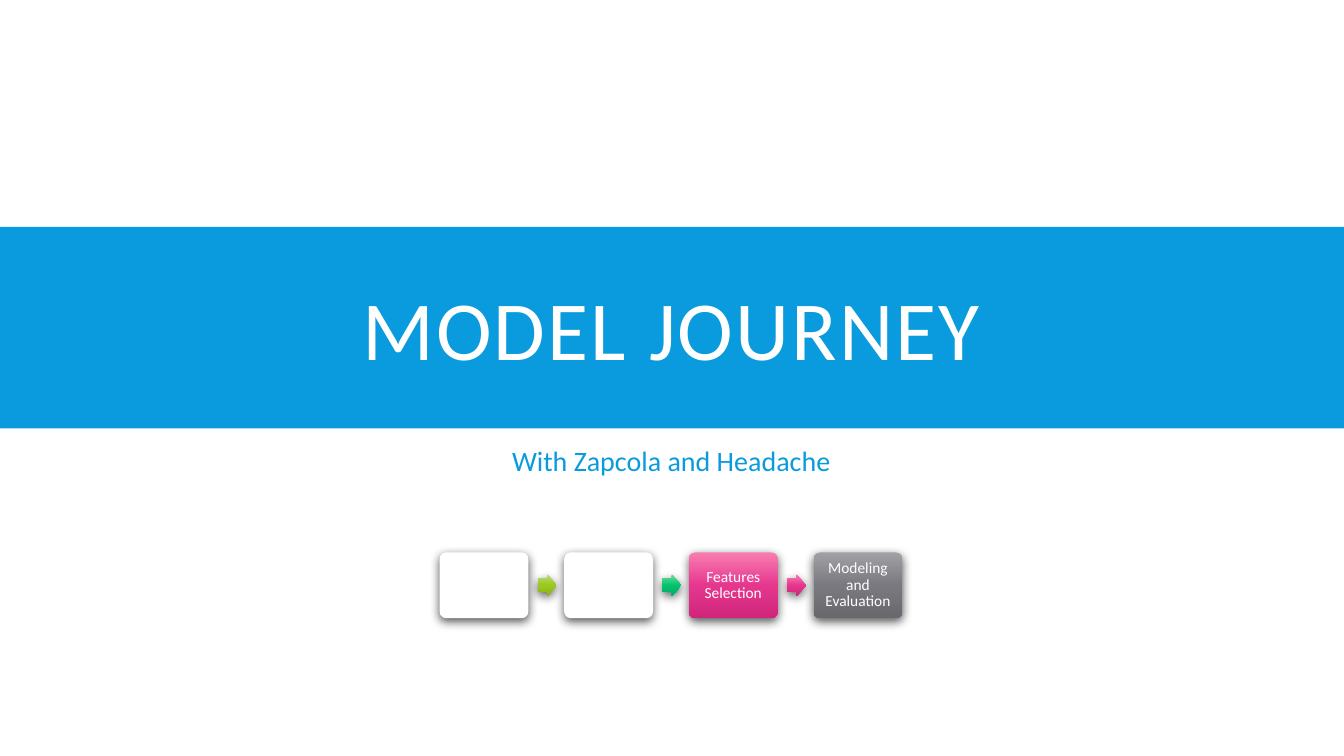
from pptx import Presentation
from pptx.dml.color import RGBColor
from pptx.enum import shapes, text
from pptx.oxml import parse_xml
from pptx.oxml.ns import nsdecls
from pptx.util import Pt

# Content
TITLE = "MODEL JOURNEY"
SUBTITLE = "With Zapcola and Headache"
# Step label, box colour, colour of the arrow that follows
STEPS = [
    ("", "white", "lime"),
    ("", "white", "green"),
    ("Features Selection", "pink", "pink"),
    ("Modeling and Evaluation", "grey", None),
]
COLORS = {"white": "FFFFFF", "blue": "099BDD"}
GRADIENTS = {
    "lime": ("BADD75", "9CC621", "8BB413"),
    "green": ("72DA9A", "03C370", "00AA61"),
    "pink": ("F87EB1", "E6378F", "D0257B"),
    "grey": ("A1A1A5", "79797F", "68686D"),
}
FONT = "Calibri"

# Layout in points
PAGE_WIDTH, PAGE_HEIGHT = 960, 540
BAND_TOP, BAND_HEIGHT = 162, 144
TEXT_LEFT, TEXT_WIDTH = 65.5, 828
STEP_LEFT, STEP_TOP, STEP_PITCH = 314, 394.6, 89.04
STEP_WIDTH, STEP_HEIGHT = 63.4, 47
ARROW_OFFSET, ARROW_WIDTH, ARROW_HEIGHT = 70.1, 13.5, 15.8


def color(name):
    return RGBColor.from_string(COLORS[name])


def add_block(page, kind, left, top, width, height, fill):
    block = page.shapes.add_shape(kind, Pt(left), Pt(top), Pt(width), Pt(height))
    block.shadow.inherit = False
    block.line.fill.background()
    if fill in COLORS:
        block.fill.solid()
        block.fill.fore_color.rgb = color(fill)
    else:
        stops = "".join(
            f'<a:gs pos="{index * 50000}"><a:srgbClr val="{value}"/></a:gs>'
            for index, value in enumerate(GRADIENTS[fill]))
        gradient = parse_xml(
            f'<a:gradFill {nsdecls("a")} rotWithShape="1"><a:gsLst>{stops}</a:gsLst>'
            '<a:lin ang="5400000" scaled="0"/></a:gradFill>')
        block.element.spPr.prstGeom.addnext(gradient)
    return block


def add_shadow(block):
    effects = block.element.spPr.find("{*}effectLst")
    effects.append(parse_xml(
        f'<a:outerShdw {nsdecls("a")} blurRad="{Pt(7)}" dist="{Pt(2.2)}" '
        'dir="5400000" algn="ctr" rotWithShape="0"><a:srgbClr val="000000">'
        '<a:alpha val="63000"/></a:srgbClr></a:outerShdw>'))


def write(box, words, size, ink, spacing, anchor):
    frame = box.text_frame
    frame.word_wrap = True
    frame.auto_size = text.MSO_AUTO_SIZE.NONE
    frame.vertical_anchor = anchor
    frame.text = words
    para = frame.paragraphs[0]
    para.alignment = text.PP_ALIGN.CENTER
    para.line_spacing = spacing
    para.font.name = FONT
    para.font.size = Pt(size)
    para.font.bold = False
    para.font.color.rgb = color(ink)
    return para


def place(box, left, top, width, height):
    box.left, box.top, box.width, box.height = map(Pt, (left, top, width, height))


def main():
    deck = Presentation()
    deck.slide_width, deck.slide_height = Pt(PAGE_WIDTH), Pt(PAGE_HEIGHT)
    page = deck.slides.add_slide(deck.slide_layouts.get_by_name("Section Header"))

    # Blue band behind the title
    band = add_block(page, shapes.MSO_SHAPE.RECTANGLE,
                     0, BAND_TOP, PAGE_WIDTH, BAND_HEIGHT, "blue")
    page.shapes.title.element.addprevious(band.element)

    # Title and subtitle
    title, subtitle = page.placeholders
    place(title, TEXT_LEFT, 174.2, TEXT_WIDTH, 131.8)
    para = write(title, TITLE, 60, "white", 0.8, text.MSO_ANCHOR.MIDDLE)
    para.runs[0].font._element.set("spc", "150")
    place(subtitle, TEXT_LEFT, 316, TEXT_WIDTH, 92)
    para = write(subtitle, SUBTITLE, 20, "blue", 0.9, text.MSO_ANCHOR.TOP)
    para.space_before, para.space_after = Pt(12), Pt(2)

    # Process steps, each followed by an arrow
    for index, (label, fill, arrow_fill) in enumerate(STEPS):
        left = STEP_LEFT + index * STEP_PITCH
        step = add_block(page, shapes.MSO_SHAPE.ROUNDED_RECTANGLE,
                         left, STEP_TOP, STEP_WIDTH, STEP_HEIGHT, fill)
        step.adjustments[0] = 0.1
        add_shadow(step)
        if label:
            frame = step.text_frame
            frame.margin_left = frame.margin_right = Pt(3.6)
            frame.margin_top = frame.margin_bottom = Pt(3.6)
            write(step, label, 11, "white", 0.9, text.MSO_ANCHOR.MIDDLE)
        if arrow_fill:
            arrow = add_block(page, shapes.MSO_SHAPE.RIGHT_ARROW, left + ARROW_OFFSET,
                              STEP_TOP + (STEP_HEIGHT - ARROW_HEIGHT) / 2,
                              ARROW_WIDTH, ARROW_HEIGHT, arrow_fill)
            arrow.adjustments[0], arrow.adjustments[1] = 0.6, 0.5
            add_shadow(arrow)

    deck.save("out.pptx")


if __name__ == "__main__":
    main()
